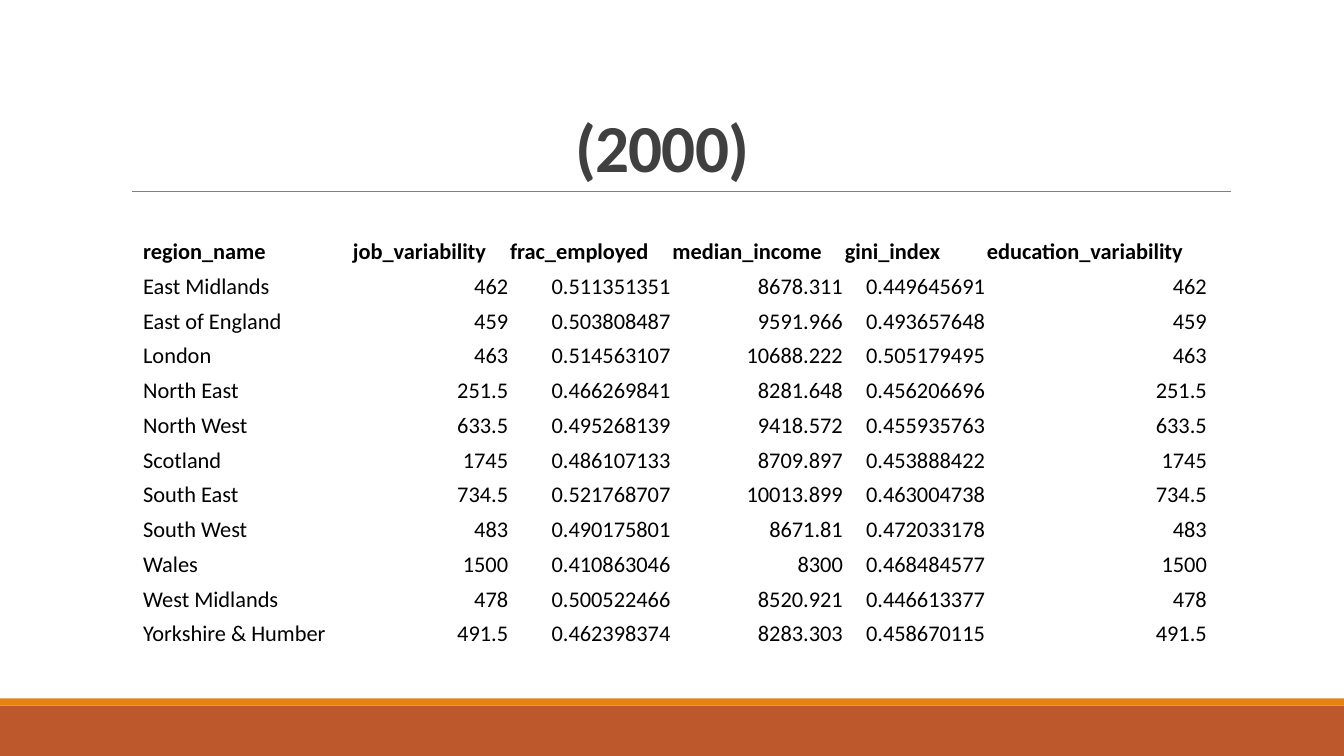
from pptx import Presentation
from pptx.dml.color import RGBColor
from pptx.enum.shapes import MSO_CONNECTOR, MSO_SHAPE
from pptx.enum.text import MSO_ANCHOR, MSO_AUTO_SIZE, PP_ALIGN
from pptx.oxml.ns import qn
from pptx.util import Inches, Pt
from lxml import etree

BLACK = RGBColor(0x00, 0x00, 0x00)
CHARCOAL = RGBColor(0x40, 0x40, 0x40)
GRAY = RGBColor(0x80, 0x80, 0x80)
RUST = RGBColor(0xBD, 0x58, 0x2C)
ORANGE = RGBColor(0xE4, 0x83, 0x12)
LEFT, RIGHT = PP_ALIGN.LEFT, PP_ALIGN.RIGHT
BOTTOM = MSO_ANCHOR.BOTTOM
NO_FIT = MSO_AUTO_SIZE.NONE
RECTANGLE = MSO_SHAPE.RECTANGLE
STRAIGHT = MSO_CONNECTOR.STRAIGHT
TITLE_ONLY_LAYOUT = 5

COLUMN_WIDTHS = (2.08, 1.56, 1.61, 1.71, 1.41, 2.2)
TABLE_HEIGHT = 4.14
REGION_ROWS = (
    ("region_name", "job_variability", "frac_employed", "median_income", "gini_index", "education_variability"),
    ("East Midlands", "462", "0.511351351", "8678.311", "0.449645691", "462"),
    ("East of England", "459", "0.503808487", "9591.966", "0.493657648", "459"),
    ("London", "463", "0.514563107", "10688.222", "0.505179495", "463"),
    ("North East", "251.5", "0.466269841", "8281.648", "0.456206696", "251.5"),
    ("North West", "633.5", "0.495268139", "9418.572", "0.455935763", "633.5"),
    ("Scotland", "1745", "0.486107133", "8709.897", "0.453888422", "1745"),
    ("South East", "734.5", "0.521768707", "10013.899", "0.463004738", "734.5"),
    ("South West", "483", "0.490175801", "8671.81", "0.472033178", "483"),
    ("Wales", "1500", "0.410863046", "8300", "0.468484577", "1500"),
    ("West Midlands", "478", "0.500522466", "8520.921", "0.446613377", "478"),
    ("Yorkshire & Humber", "491.5", "0.462398374", "8283.303", "0.458670115", "491.5"),
)


def apply(target, values):
    """Set each named attribute of the target."""
    for name, value in values.items():
        setattr(target, name, value)


class SlideBuilder:
    """Hold the text style and the slide being filled."""

    def __init__(self, slide, font_name):
        """Keep the slide and its font."""
        self.slide = slide
        self.font_name = font_name

    def add_span(self, paragraph, text, size, color, bold, align):
        """Add one formatted span and return it."""
        paragraph.alignment = align
        span = paragraph.add_run()
        span.text = text
        apply(span.font, {"name": self.font_name, "size": Pt(size), "bold": bold})
        span.font.color.rgb = color
        return span

    def band(self, left, top, width, height, color):
        """Add a plain filled rectangle."""
        box = self.slide.shapes.add_shape(
            RECTANGLE, Inches(left), Inches(top), Inches(width), Inches(height))
        box.shadow.inherit = False
        box.fill.solid()
        box.fill.fore_color.rgb = color
        box.line.fill.background()

    def rule(self, left, right, top, color, weight):
        """Add a thin horizontal line."""
        line = self.slide.shapes.add_connector(
            STRAIGHT, Inches(left), Inches(top), Inches(right), Inches(top))
        line.line.color.rgb = color
        line.line.width = Pt(weight)
        properties = line._element.find(qn("p:spPr"))
        etree.SubElement(properties, qn("a:effectLst"))

    def title(self, text, left, top, width, height):
        """Place and format the title placeholder."""
        box = self.slide.shapes.title
        apply(box, {"left": Inches(left), "top": Inches(top),
                    "width": Inches(width), "height": Inches(height)})
        apply(box.text_frame, {"word_wrap": True, "auto_size": NO_FIT, "vertical_anchor": BOTTOM})
        paragraph = box.text_frame.paragraphs[0]
        paragraph.line_spacing = 0.85
        span = self.add_span(paragraph, text, 48, CHARCOAL, True, LEFT)
        span.font._element.set("spc", "-50")

    def table(self, rows, left, top, widths, height):
        """Add an unfilled table with a bold header row."""
        frame = self.slide.shapes.add_table(
            len(rows), len(widths), Inches(left), Inches(top),
            Inches(sum(widths)), Inches(height))
        table = frame.table
        apply(table, {"first_row": False, "horz_banding": False})
        for column, width in zip(table.columns, widths):
            column.width = Inches(width)
        inset = Inches(0.01)
        for row_index, values in enumerate(rows):
            header = row_index == 0
            for column_index, text in enumerate(values):
                cell = table.cell(row_index, column_index)
                cell.fill.background()
                apply(cell, {"margin_left": inset, "margin_right": inset, "margin_top": inset,
                             "margin_bottom": 0, "vertical_anchor": BOTTOM})
                align = LEFT if header or column_index == 0 else RIGHT
                self.add_span(cell.text_frame.paragraphs[0], text, 16, BLACK, header, align)


def main():
    """Build and save the regional table slide."""
    deck = Presentation()
    apply(deck, {"slide_width": Inches(13.33), "slide_height": Inches(7.5)})
    page = SlideBuilder(deck.slides.add_slide(deck.slide_layouts[TITLE_ONLY_LAYOUT]), "Calibri")
    page.band(0, 7, 13.33, 0.5, RUST)
    page.band(0, 6.93, 13.33, 0.07, ORANGE)
    page.rule(1.31, 12.21, 1.9, GRAY, 0.5)
    page.title(" (2000)", 5.46, 1.06, 2.41, 0.84)
    page.table(REGION_ROWS, 1.41, 2.29, COLUMN_WIDTHS, TABLE_HEIGHT)
    deck.save("out.pptx")


if __name__ == "__main__":
    main()
